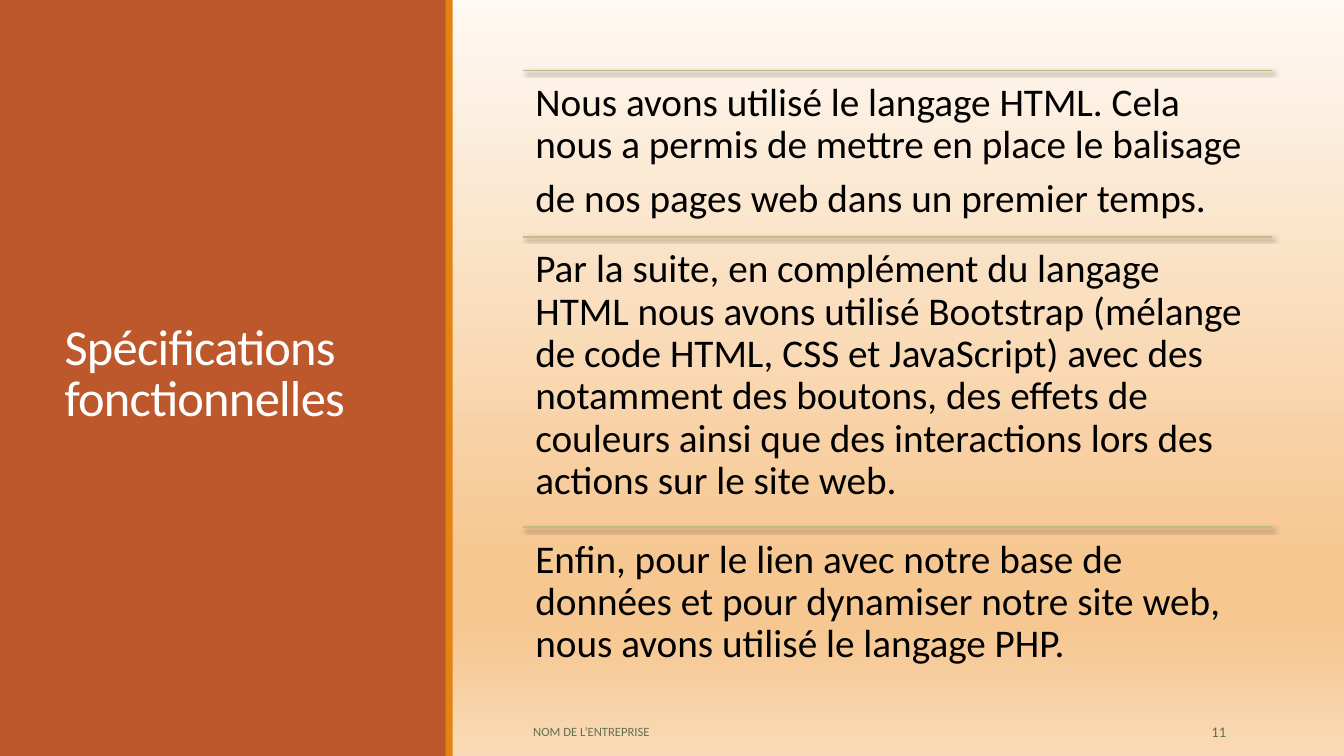
from lxml import etree
from pptx import Presentation
from pptx.dml.color import RGBColor
from pptx.enum import shapes, text
from pptx.oxml import ns
from pptx.util import Inches, Pt

TITLE = "Spécifications fonctionnelles"
# Top of each section, height, wording
SECTIONS = [
    (0.7, 1.65, "Nous avons utilisé le langage HTML. Cela nous a permis de mettre en place "
                "le balisage de nos pages web dans un premier temps."),
    (2.35, 2.88, "Par la suite, en complément du langage HTML nous avons utilisé Bootstrap "
                 "(mélange de code HTML, CSS et JavaScript) avec des notamment des boutons, "
                 "des effets de couleurs ainsi que des interactions lors des actions sur le "
                 "site web."),
    (5.23, 1.65, "Enfin, pour le lien avec notre base de données et pour dynamiser notre "
                 "site web, nous avons utilisé le langage PHP."),
]
FOOTER = "NOM DE L’ENTREPRISE"
PAGE_NUMBER = "11"

COLORS = {"panel": "BD582C", "stripe": "E48312", "rule": "C2BC80", "title": "FFFFFF",
          "body": "000000", "footer": "637052", "shadow": "000000"}
BACKGROUND = [(0, "FEF9F3"), (74, "F6C791"), (83, "F6C791"), (100, "F9DAB6")]
FONT = "Calibri"
LEFT, WIDTH = 5.19, 7.43


def color(name):
    return RGBColor.from_string(COLORS[name])


def add_xml(parent, tag, **attributes):
    return etree.SubElement(parent, ns.qn(tag), attributes)


def paint_background(page):
    fill = page.background.fill
    fill.gradient()
    gradient = page.element.find(".//" + ns.qn("a:gradFill"))
    stops = gradient.find(ns.qn("a:gsLst"))
    for stop in list(stops):
        stops.remove(stop)
    for position, value in BACKGROUND:
        stop = add_xml(stops, "a:gs", pos=str(position * 1000))
        add_xml(stop, "a:srgbClr", val=value)
    gradient.find(ns.qn("a:lin")).set("ang", "5400000")


def add_band(page, left, width, fill):
    band = page.shapes.add_shape(shapes.MSO_SHAPE.RECTANGLE, Inches(left), 0,
                                 Inches(width), Inches(7.5))
    band.shadow.inherit = False
    band.fill.solid()
    band.fill.fore_color.rgb = color(fill)
    band.line.fill.background()


def add_rule(page, top):
    rule = page.shapes.add_connector(shapes.MSO_CONNECTOR.STRAIGHT, Inches(LEFT), Inches(top),
                                     Inches(LEFT + WIDTH), Inches(top))
    rule.line.color.rgb = color("rule")
    rule.line.width = Pt(1)
    effects = add_xml(rule.element.spPr, "a:effectLst")
    shadow = add_xml(effects, "a:outerShdw", blurRad=str(Pt(3)), dist=str(Pt(2)),
                     dir="2700000", rotWithShape="0")
    shade = add_xml(shadow, "a:srgbClr", val=COLORS["shadow"])
    add_xml(shade, "a:alpha", val="60000")


def style_run(span, size, name):
    span.font.name = FONT
    span.font.size = Pt(size)
    span.font.color.rgb = color(name)


def add_text(page, left, top, width, height, wording, size, name):
    box = page.shapes.add_textbox(Inches(left), Inches(top), Inches(width), Inches(height))
    box.text_frame.word_wrap = True
    box.text_frame.text = wording
    para = box.text_frame.paragraphs[0]
    style_run(para.runs[0], size, name)
    return box.text_frame, para


def main():
    deck = Presentation()
    deck.slide_width, deck.slide_height = Inches(13.33), Inches(7.5)
    page = deck.slides.add_slide(deck.slide_layouts[5])
    paint_background(page)

    # Left panel and title, the title brought in front
    add_band(page, 0, 4.43, "panel")
    add_band(page, 4.42, 0.07, "stripe")
    title = page.shapes.title
    page.shapes.element.append(title.element)
    title.left, title.top = Inches(0.54), Inches(0.57)
    title.width, title.height = Inches(3.37), Inches(6.31)
    frame = title.text_frame
    frame.text = TITLE
    frame.word_wrap = True
    frame.auto_size = text.MSO_AUTO_SIZE.NONE
    frame.vertical_anchor = text.MSO_ANCHOR.MIDDLE
    para = frame.paragraphs[0]
    para.alignment = text.PP_ALIGN.LEFT
    para.line_spacing = 0.85
    style_run(para.runs[0], 36, "title")
    para.runs[0].font._element.set("spc", "-50")

    # Sections, each under a rule
    for index, (top, height, wording) in enumerate(SECTIONS):
        add_rule(page, top)
        frame, para = add_text(page, LEFT, top, WIDTH, height, wording, 28, "body")
        frame.margin_left = frame.margin_right = Inches(0.12)
        frame.margin_top = frame.margin_bottom = Inches(0.12)
        para.line_spacing = 0.9
        if index == 0:  # a larger closing space opens up the last line
            span = para.add_run()
            span.text = " "
            style_run(span, 37, "body")

    # Footer and page number
    for left, width, wording, size, align in [
            (LEFT, 5.58, FOOTER, 9, text.PP_ALIGN.LEFT),
            (11.07, 1.19, PAGE_NUMBER, 10.5, text.PP_ALIGN.RIGHT)]:
        frame, para = add_text(page, left, 7.06, width, 0.4, wording, size, "footer")
        frame.vertical_anchor = text.MSO_ANCHOR.MIDDLE
        para.alignment = align
        para.space_after = Pt(6)

    deck.save("out.pptx")


if __name__ == "__main__":
    main()
